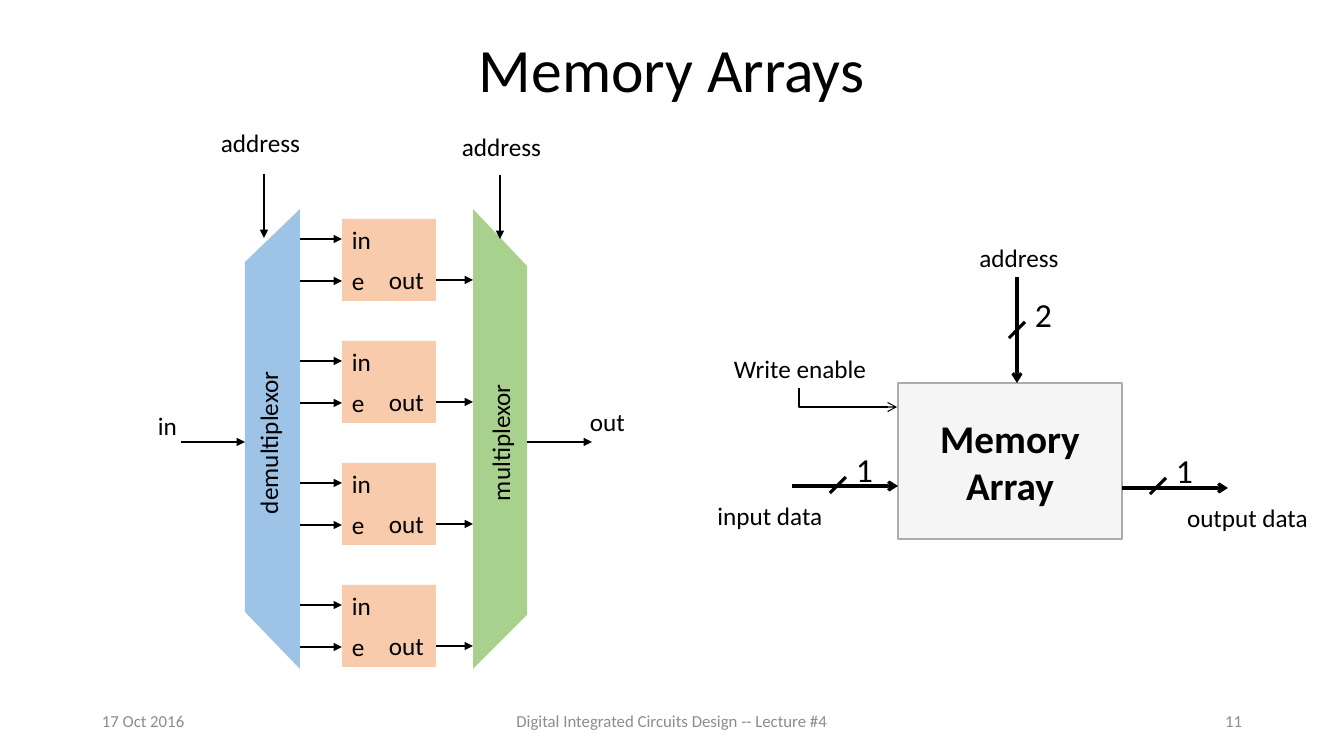
import pptx
import pptx.util
import pptx.dml.color
import pptx.enum.shapes
import pptx.enum.text
import pptx.oxml
import pptx.oxml.ns

EMU = 914400 / 100.8  # one pixel
COLORS = {
    "ink": "000000", "footer": "8C8C8C", "demux": "9DC3E6", "mux": "A9D18E",
    "cell": "F8CBAD", "block": "F5F5F5", "block_edge": "AFABAB",
}
ALIGN = pptx.enum.text.PP_ALIGN
MIDDLE = pptx.enum.text.MSO_ANCHOR.MIDDLE
CONNECTOR = pptx.enum.shapes.MSO_CONNECTOR


def px(value):
    return pptx.util.Emu(round(value * EMU))


def rgb(name):
    return pptx.dml.color.RGBColor.from_string(COLORS[name])


def write(frame, words, size, color="ink", align=ALIGN.LEFT, bold=False):
    frame.text = words
    for paragraph in frame.paragraphs:
        paragraph.alignment = align
        for run in paragraph.runs:
            run.font.name = "Calibri"
            run.font.size = pptx.util.Pt(size)
            run.font.bold = bold
            run.font.color.rgb = rgb(color)


def label(words, x, y, w, h=40, size=18, align=ALIGN.LEFT, color="ink", wrap=False):
    box = slide.shapes.add_textbox(px(x), px(y), px(w), px(h))
    box.text_frame.word_wrap = wrap
    write(box.text_frame, words, size, color, align)
    return box


def paint(shape, fill, edge=None):
    shape.shadow.inherit = False
    shape.fill.solid()
    shape.fill.fore_color.rgb = rgb(fill)
    if edge:
        shape.line.color.rgb = rgb(edge)
        shape.line.width = pptx.util.Pt(1)
    else:
        shape.line.fill.background()


def rectangle(x, y, w, h, fill, edge=None):
    shape = slide.shapes.add_shape(
        pptx.enum.shapes.MSO_SHAPE.RECTANGLE, px(x), px(y), px(w), px(h))
    paint(shape, fill, edge)
    return shape


def wire(x1, y1, x2, y2, width=1, tip="triangle", end="tailEnd", kind=CONNECTOR.STRAIGHT):
    line = slide.shapes.add_connector(kind, px(x1), px(y1), px(x2), px(y2))
    line.line.color.rgb = rgb("ink")
    line.line.width = pptx.util.Pt(width)
    properties = line._element.spPr
    if tip:
        arrowhead = pptx.oxml.parse_xml(
            f'<a:{end} {pptx.oxml.ns.nsdecls("a")} type="{tip}"/>')
        properties.find(pptx.oxml.ns.qn("a:ln")).append(arrowhead)
    properties.append(pptx.oxml.parse_xml(f'<a:effectLst {pptx.oxml.ns.nsdecls("a")}/>'))
    return line


def title(x, y, w, h):
    heading = label("Memory Arrays", x, y, w, h, 44, ALIGN.CENTER, wrap=True)
    heading.text_frame.vertical_anchor = MIDDLE
    heading.text_frame.paragraphs[0].line_spacing = 0.9


def footer(x, y, w, h):
    side, middle = 302, 454
    for words, left, width, align in (
        ("17 Oct 2016", x, side, ALIGN.LEFT),
        ("Digital Integrated Circuits Design -- Lecture #4",
         x + (w - middle) / 2, middle, ALIGN.CENTER),
        ("11", x + w - side, side, ALIGN.RIGHT),
    ):
        note = label(words, left, y, width, h, 12, align, "footer", True)
        note.text_frame.vertical_anchor = MIDDLE


def selector(x, y, h, outline, fill, name, name_center, name_width):
    """Trapezoid with its name running upwards."""
    corners = [(x + dx, y + dy) for dx, dy in outline]
    builder = slide.shapes.build_freeform(*corners[0], scale=EMU)
    builder.add_line_segments(corners[1:], close=True)
    paint(builder.convert_to_shape(), fill)
    caption = label(name, x + name_center - name_width / 2, y + h / 2 + 3 - 20, name_width)
    caption.rotation = 270


def memory_cell(x, y, w, h):
    rectangle(x, y, w, h, "cell")
    label("in", x, y, 39)
    label("out", x + 37, y + 40, 55)
    label("e", x, y + 41, 33)
    for input_y in (y + 20, y + 62):
        wire(x - 42, input_y, x, input_y)
    wire(x + w, y + 61, x + w + 37, y + 61)


def cell_array(x, y, w, h):
    # Four cells, evenly spread between the selectors
    cells, cell_h, margin = 4, 82, 10
    step = (h - margin - cell_h) // (cells - 1)
    for index in range(cells):
        memory_cell(x + 97, y + margin + index * step, 94, cell_h)

    # Selectors
    selector(x, y, h, [(55, 0), (0, 53), (0, 403), (55, h)],
             "demux", "demultiplexor", 23, 164)
    selector(x + 228, y, h, [(0, 0), (0, h), (54, 406), (54, 57)],
             "mux", "multiplexor", 27, 138)

    # Data in and out
    data_y = y + 233
    wire(x - 64, data_y, x, data_y)
    wire(x + w, data_y, x + w + 65, data_y)
    label("in", x - 97, y + 196, 39)
    label("out", x + w + 53, y + 192, 55)

    # Address lines
    for arrow_x, arrow_y, label_x, label_y in ((19, -35, -35, -87), (255, -34, 206, -83)):
        wire(x + arrow_x, y + arrow_y, x + arrow_x, y + arrow_y + 64)
        label("address", x + label_x, y + label_y, 101, align=ALIGN.CENTER)


def bus(points, slash, bits, name, name_x, name_y, name_width):
    """Thick arrow with a slash, its bit count and a name."""
    wire(*points, width=2.25, tip="arrow")
    center_x, center_y = slash
    wire(center_x - 8, center_y + 8, center_x + 8, center_y - 8, width=2.25, tip=None)
    label(bits, center_x + 8, center_y - 41, 37, 50, 24)
    label(name, name_x, name_y, name_width, align=ALIGN.CENTER)


def memory_block(x, y, w, h):
    block = rectangle(x, y, w, h, "block", "block_edge")
    block.text_frame.word_wrap = False
    block.text_frame.vertical_anchor = MIDDLE
    write(block.text_frame, "Memory\nArray", 28, align=ALIGN.CENTER, bold=True)

    # Buses
    bus((x + 119, y - 106, x + 119, y), (x + 119, y - 53), "2",
        "address", x + 69, y - 146, 104)
    bus((x - 106, y + 103, x, y + 103), (x - 60, y + 102), "1",
        "input data", x - 193, y + 112, 130)
    bus((x + w, y + 105, x + w + 106, y + 105), (x + 260, y + 103), "1",
        "output data", x + 276, y + 114, 147)

    # Write enable: a single bend, turned so that it runs down and then right
    label("Write enable", x - 176, y - 35, 156, align=ALIGN.CENTER)
    enable = wire(x - 99, y + 5, x - 1, y + 24, 0.75, "arrow", "headEnd", CONNECTOR.ELBOW)
    properties = enable._element.spPr
    properties.find(pptx.oxml.ns.qn("a:prstGeom")).set("prst", "bentConnector2")
    properties.find(pptx.oxml.ns.qn("a:xfrm")).set("rot", "10800000")


deck = pptx.Presentation()
deck.slide_width, deck.slide_height = px(1344), px(756)
slide = deck.slides.add_slide(deck.slide_layouts[6])

title(92, 0, 1160, 146)
cell_array(245, 209, 282, 460)
memory_block(898, 383, 224, 156)
footer(92, 701, 1160, 40)

deck.save("out.pptx")
